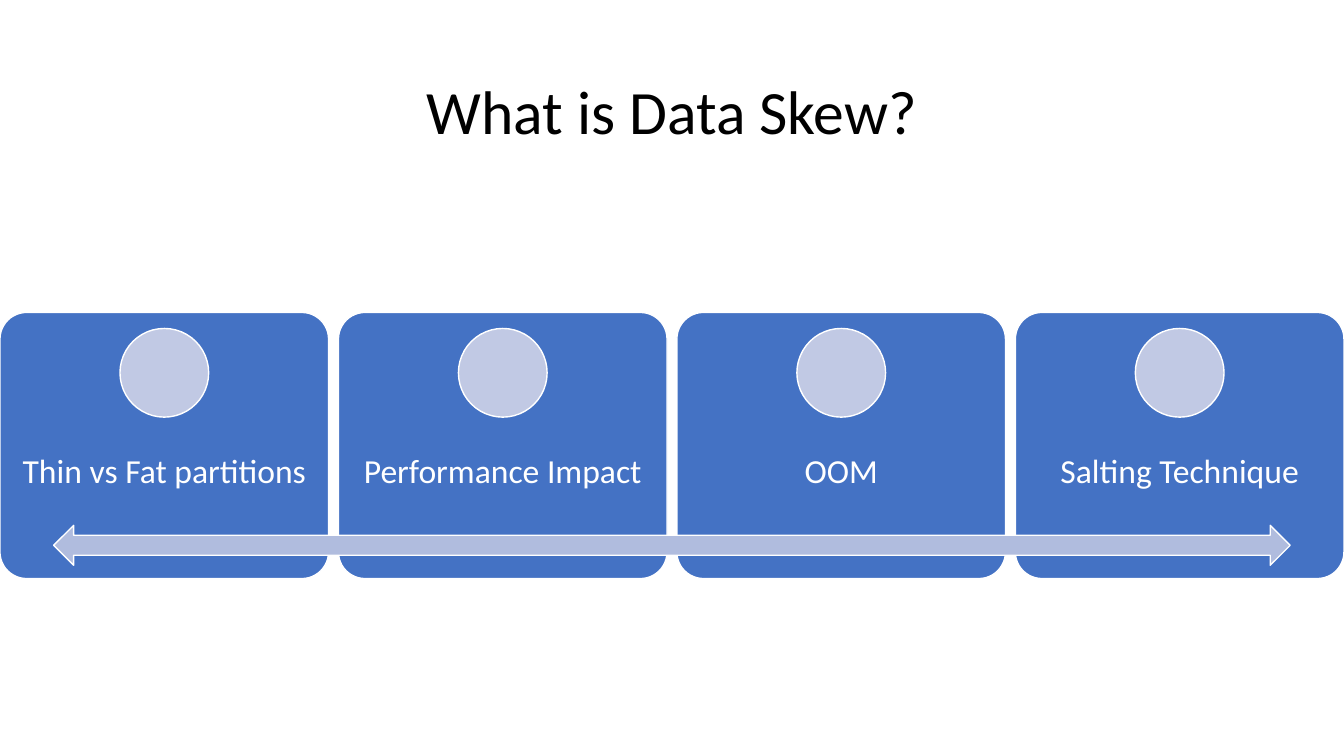
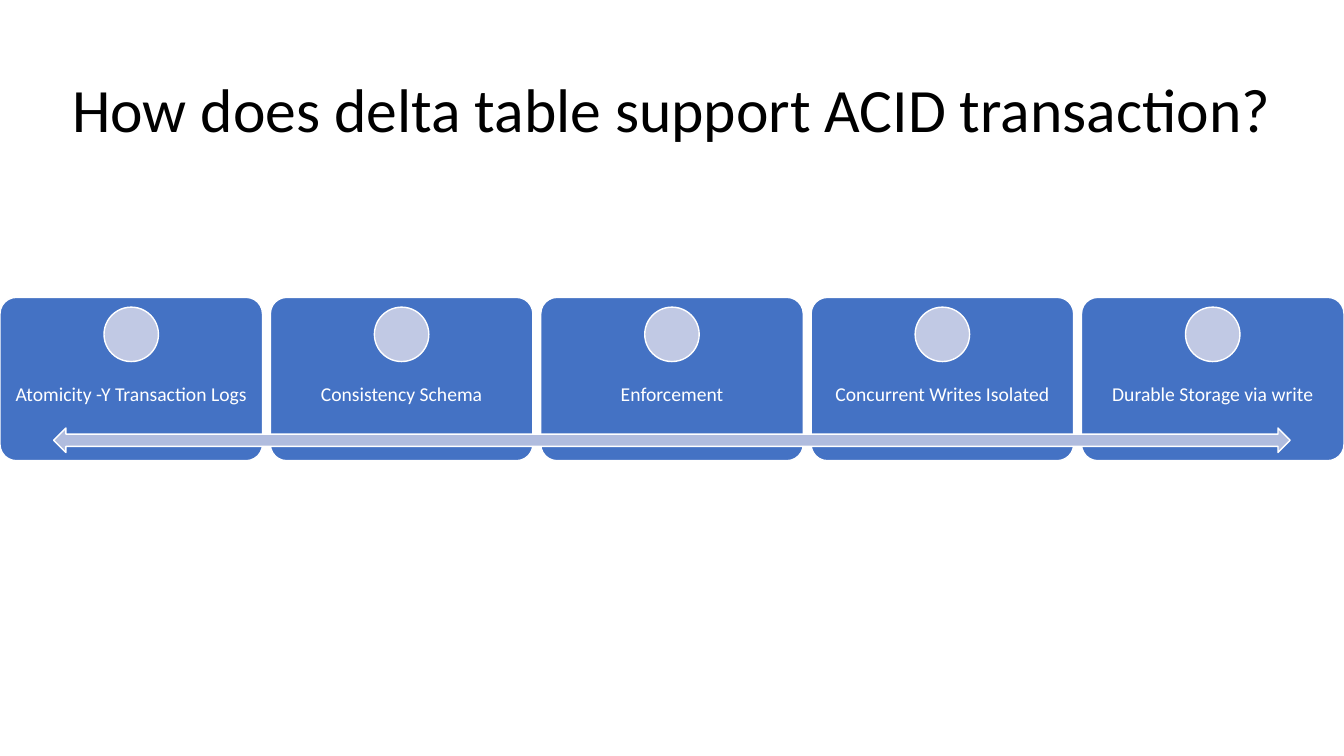
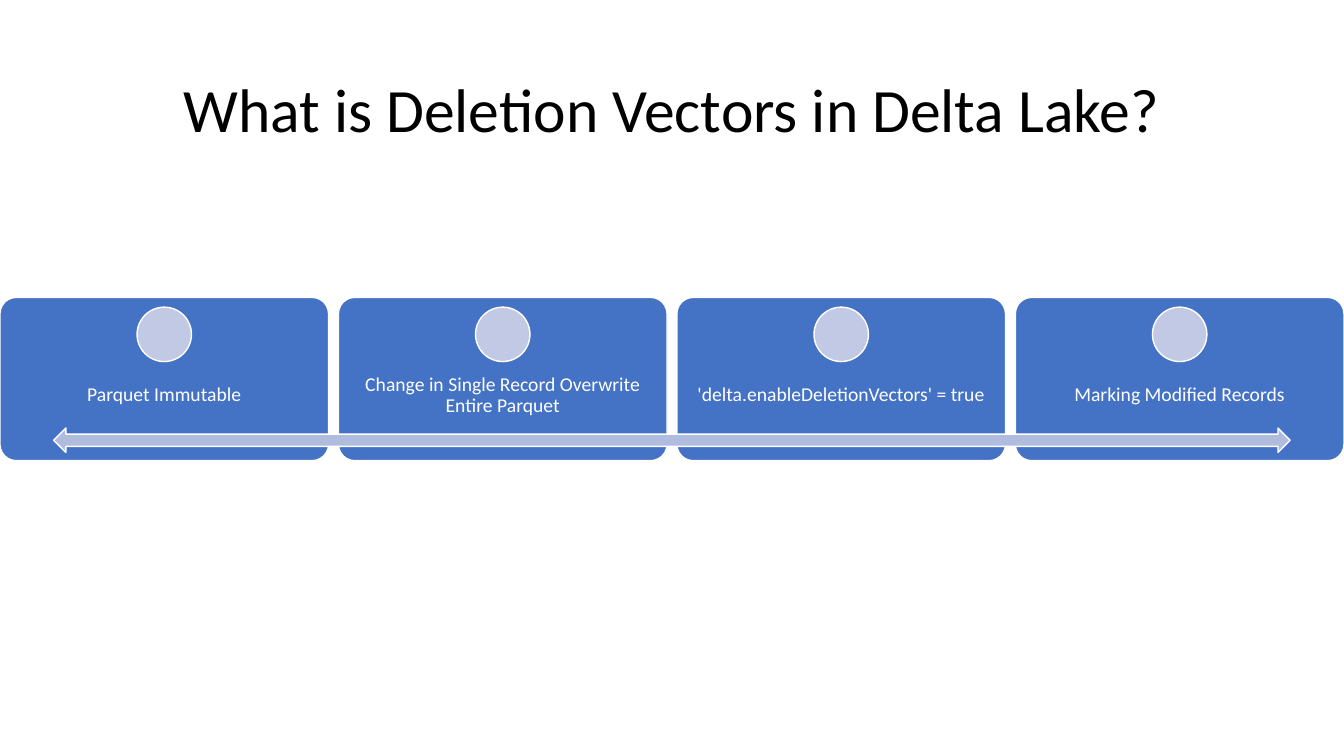
from pptx import Presentation
from pptx.dml.color import RGBColor
from pptx.enum import shapes, text
from pptx.util import Inches, Pt

WIDTH, HEIGHT = 13.33, 7.5
FONT = "Calibri"
COLORS = {
    "title": "000000",
    "card": "4472C4",
    "dot": "C1C9E4",
    "arrow": "B0BCDE",
    "white": "FFFFFF",
}
GAP = 0.03
SHAPE = shapes.MSO_SHAPE


def paint(name):
    """Return the named colour."""
    return RGBColor.from_string(COLORS[name])


def write(box, words, size, color, inset=0.1, after=0):
    """Fill a box with one centred paragraph."""
    frame = box.text_frame
    frame.word_wrap = True
    frame.auto_size = text.MSO_AUTO_SIZE.NONE
    frame.vertical_anchor = text.MSO_ANCHOR.MIDDLE
    frame.margin_left = frame.margin_right = Inches(inset)
    frame.margin_top = frame.margin_bottom = Inches(inset)
    line = frame.paragraphs[0]
    line.text = words
    line.alignment = text.PP_ALIGN.CENTER
    line.line_spacing = 0.9
    line.space_before = Pt(0)
    line.space_after = Pt(after)
    line.font.name = FONT
    line.font.size = Pt(size)
    line.font.color.rgb = paint(color)


def draw(slide, kind, color, left, top, width, height):
    """Add a flat shape with a thin white outline."""
    item = slide.shapes.add_shape(
        kind, Inches(left), Inches(top), Inches(width), Inches(height))
    item.shadow.inherit = False
    item.fill.solid()
    item.fill.fore_color.rgb = paint(color)
    item.line.color.rgb = paint("white")
    item.line.width = Pt(1)
    return item


def head(slide, words, height):
    """Place the slide title across the top."""
    title = slide.shapes.title
    title.left = title.top = 0
    title.width, title.height = Inches(WIDTH), Inches(height)
    write(title, words, 44, "title")


def card(slide, words, left, top, width, height, size):
    """Add a rounded card with a dot above its label."""
    box = draw(slide, SHAPE.ROUNDED_RECTANGLE, "card", left, top, width, height)
    box.adjustments[0] = 0.1
    label = slide.shapes.add_textbox(
        Inches(left), Inches(top + 0.4 * height),
        Inches(width), Inches(0.4 * height))
    write(label, words, size, "white", inset=size * 0.008, after=size * 0.35)
    dot = height / 3
    draw(slide, SHAPE.OVAL, "dot", left + (width - dot) / 2,
         top + 0.06 * height, dot, dot)


def flow(slide, labels, top, height, size):
    """Lay out equal cards joined by a double arrow."""
    count = len(labels)
    width = WIDTH / (count + GAP * (count - 1))
    for i, words in enumerate(labels):
        card(slide, words, i * width * (1 + GAP), top, width, height, size)
    draw(slide, SHAPE.LEFT_RIGHT_ARROW, "arrow", 0.04 * WIDTH,
         top + 0.8 * height, 0.92 * WIDTH, 0.15 * height)


def main():
    """Build and save the deck."""
    deck = Presentation()
    deck.slide_width, deck.slide_height = Inches(WIDTH), Inches(HEIGHT)
    large = {"top": 3.1, "height": 2.64, "size": 24}
    small = {"top": 2.95, "height": 1.62, "size": 14}
    pages = [
        ("What is Data Skew?", 2.28, large,
         ["Thin vs Fat partitions", "Performance Impact", "OOM",
          "Salting Technique"]),
        ("How does delta table support ACID transaction?", 2.23, small,
         ["Atomicity -Y Transaction Logs", "Consistency Schema", "Enforcement",
          "Concurrent Writes Isolated", "Durable Storage via write"]),
        ("What is Deletion Vectors in Delta Lake?", 2.23, small,
         ["Parquet Immutable",
          "Change in Single Record Overwrite Entire Parquet",
          "'delta.enableDeletionVectors' = true", "Marking Modified Records"]),
    ]
    for title, depth, style, labels in pages:
        slide = deck.slides.add_slide(deck.slide_layouts[5])
        head(slide, title, depth)
        flow(slide, labels, **style)
    deck.save("out.pptx")


if __name__ == "__main__":
    main()
